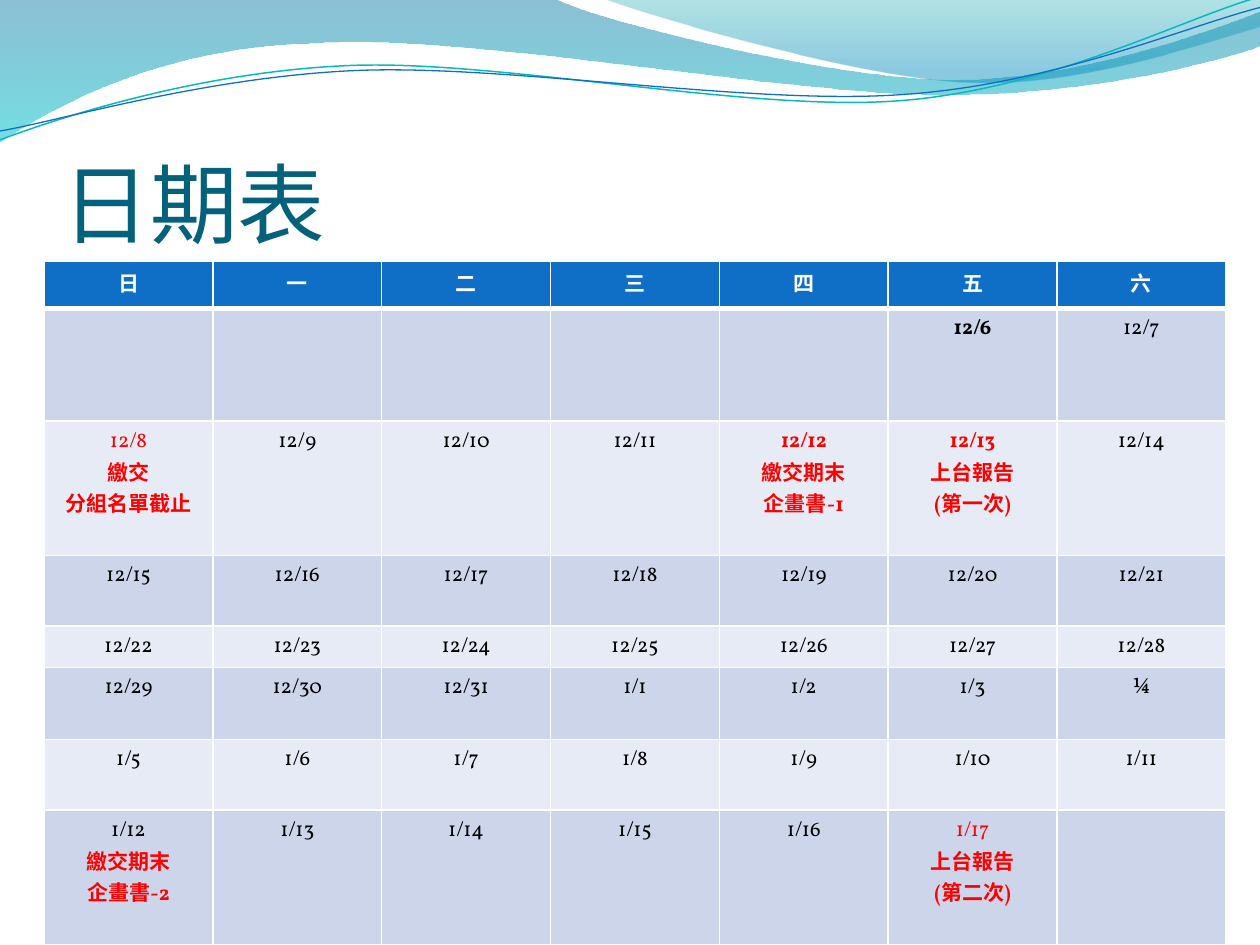
from math import cos, radians, sin

from lxml import etree
from pptx import Presentation
from pptx.dml.color import RGBColor
from pptx.enum.text import MSO_ANCHOR as Anchor, PP_ALIGN as Align
from pptx.oxml import parse_xml
from pptx.oxml.ns import qn
from pptx.util import Inches, Pt

COLORS = {
    "title": "04617B", "header": "0F6FC6", "band_dark": "CCD5EA", "band_light": "E7EBF5",
    "white": "FFFFFF", "black": "000000", "red": "FF0000",
    "teal_line": "0AB8BF", "blue_line": "0F6FC6",
    "deep_blue": "0074A1", "aqua": "00C6CF", "sea": "00A1A9", "sky": "008BBF",
}
NAMESPACE = 'xmlns:a="http://schemas.openxmlformats.org/drawingml/2006/main"'

# Wave outlines: a start point, then corners (2 values) and Bezier curves (6 values)
FILLED_WAVES = [
    {"start": (0, 0), "stops": [(0, "deep_blue", 45), (100, "aqua", 55)],
     "steps": [(4.4, -0.01), (4.76, 0.17, 6.64, 0.63, 7.58, 0.63),
               (8.53, 0.63, 9.58, 0.26, 10, 0.09), (10.01, 0.36),
               (9.83, 0.44, 8.7, 0.76, 7.46, 0.75), (6.22, 0.75, 3.82, 0.28, 2.57, 0.34),
               (1.29, 0.36, 0.46, 0.83, -0.01, 1.13), (0, 0)]},
    {"start": (4.79, -0.01), "stops": [(0, "sea", 30), (80, "sky", 45)],
     "steps": [(5.09, 0.11, 6.82, 0.62, 7.69, 0.65), (8.56, 0.69, 9.61, 0.32, 10, 0.21),
               (10, 0), (4.79, -0.01)]},
]
LINE_WAVES = [
    {"start": (0, 1.11), "color": "teal_line", "width": 0.85, "center": (4.99, 0.575),
     "steps": [(0.48, 0.93, 1.58, 0.57, 2.77, 0.52), (3.95, 0.47, 5.93, 0.89, 7.13, 0.8),
               (8.33, 0.71, 9.38, 0.15, 9.98, -0.02)]},
    {"start": (0, 1.04), "color": "blue_line", "width": 0.75, "center": (5, 0.59),
     "steps": [(0.47, 0.96, 1.64, 0.61, 2.83, 0.56), (4.03, 0.51, 5.97, 0.84, 7.17, 0.75),
               (8.36, 0.67, 9.41, 0.21, 10, 0.06)]},
]
LINE_TILT = 2.7  # degrees counter-clockwise

WEEKDAYS = "日一二三四五六"
COLUMN_WIDTH = 1.34
ROW_HEIGHTS = [0.38, 0.89, 1.07, 0.56, 0.33, 0.57, 0.56, 1.07]
FIRST_DAY, LAST_DAY = 6, 48  # counted from 12/1
DEADLINES = {
    "12/8": ["繳交", "分組名單截止"],
    "12/12": ["繳交期末", "企畫書-1"],
    "12/13": ["上台報告", "(第一次)"],
    "1/12": ["繳交期末", "企畫書-2"],
    "1/17": ["上台報告", "(第二次)"],
}
RED_DATES = {"12/8", "12/12", "12/13", "1/17"}
BOLD_DATES = {"12/6", "12/12", "12/13"}


def color(name):
    return RGBColor.from_string(COLORS[name])


def turn(point, center, degrees):
    """Turn a point clockwise around a center."""
    x, y = point[0] - center[0], point[1] - center[1]
    cosine, sine = cos(radians(degrees)), sin(radians(degrees))
    return center[0] + x * cosine - y * sine, center[1] + x * sine + y * cosine


def bend(shape, steps):
    """Join the three segments of each curve step into one Bezier segment."""
    segments = iter(list(shape.element.iter(qn("a:lnTo"))))
    for step in steps:
        first = next(segments)
        if len(step) == 2:
            continue
        curve = etree.Element(qn("a:cubicBezTo"))
        first.addprevious(curve)
        for segment in (first, next(segments), next(segments)):
            curve.append(segment[0])
            segment.getparent().remove(segment)


def add_outline(shapes, left, top, wave, close):
    points = [wave["start"]]
    for step in wave["steps"]:
        points += zip(step[::2], step[1::2])
    if "center" in wave:
        points = [turn(point, wave["center"], LINE_TILT) for point in points]
    points = [(Inches(left + x), Inches(top + y)) for x, y in points]
    builder = shapes.build_freeform(*points[0])
    builder.add_line_segments(points[1:], close=close)
    shape = builder.convert_to_shape()
    bend(shape, wave["steps"])
    shape.shadow.inherit = False
    shape.fill.background()
    return shape


def set_gradient(shape, stops):
    """Fill top to bottom with (position, colour, opacity) stops."""
    stop_xml = "".join(
        f'<a:gs pos="{position * 1000}"><a:srgbClr val="{COLORS[name]}">'
        f'<a:alpha val="{opacity * 1000}"/></a:srgbClr></a:gs>'
        for position, name, opacity in stops)
    gradient = parse_xml(f'<a:gradFill {NAMESPACE} rotWithShape="1"><a:gsLst>{stop_xml}'
                         '</a:gsLst><a:lin ang="5400000" scaled="0"/></a:gradFill>')
    properties = shape.element.spPr
    properties.replace(properties.find(qn("a:noFill")), gradient)


def add_waves(slide, left, top):
    for wave in FILLED_WAVES:
        shape = add_outline(slide.shapes, left, top, wave, close=True)
        set_gradient(shape, wave["stops"])
        shape.line.fill.background()
    group = slide.shapes.add_group_shape()
    for wave in LINE_WAVES:
        shape = add_outline(group.shapes, left, top, wave, close=False)
        shape.rotation = -LINE_TILT
        shape.line.color.rgb = color(wave["color"])
        shape.line.width = Pt(wave["width"])


def write(paragraph, text, color_name, **font_values):
    run = paragraph.add_run()
    run.text = text
    run.font.color.rgb = color(color_name)
    for name, value in font_values.items():
        setattr(run.font, name, value)


def add_title(slide, left, top, width, height):
    box = slide.shapes.add_textbox(Inches(left), Inches(top), Inches(width), Inches(height))
    frame_values = {"word_wrap": True, "vertical_anchor": Anchor.BOTTOM, "margin_left": 0,
                    "margin_right": 0, "margin_top": Inches(0.05), "margin_bottom": 0}
    for name, value in frame_values.items():
        setattr(box.text_frame, name, value)
    write(box.text_frame.paragraphs[0], "日期表", "title", size=Pt(50), name="Calibri")


def date_label(day):
    if not FIRST_DAY <= day <= LAST_DAY:
        return ""
    label = f"12/{day}" if day <= 31 else f"1/{day - 31}"
    return "¼" if label == "1/4" else label


def cell_lines(row, column):
    """List the (text, colour, bold) lines of one calendar cell."""
    if row == 0:
        return [(WEEKDAYS[column], "white", True)]
    label = date_label(7 * (row - 1) + column + 1)
    if not label:
        return []
    date_color = "red" if label in RED_DATES else "black"
    notes = [(note, "red", True) for note in DEADLINES.get(label, [])]
    return [(label, date_color, label in BOLD_DATES)] + notes


def set_borders(cell, row):
    widths = {"lnL": 1, "lnR": 1, "lnT": 3 if row == 1 else 1, "lnB": 3 if row == 0 else 1}
    properties = cell._tc.get_or_add_tcPr()
    for tag, width in widths.items():
        border = etree.SubElement(properties, qn(f"a:{tag}"), w=str(Pt(width)))
        fill = etree.SubElement(border, qn("a:solidFill"))
        etree.SubElement(fill, qn("a:srgbClr"), val=COLORS["white"])


def add_calendar(slide, left, top):
    table = slide.shapes.add_table(
        len(ROW_HEIGHTS), len(WEEKDAYS), Inches(left), Inches(top),
        Inches(COLUMN_WIDTH * len(WEEKDAYS)), Inches(sum(ROW_HEIGHTS))).table
    for column in table.columns:
        column.width = Inches(COLUMN_WIDTH)
    for row, height in enumerate(ROW_HEIGHTS):
        table.rows[row].height = Inches(height)
        band = "header" if row == 0 else "band_dark" if row % 2 else "band_light"
        for column in range(len(WEEKDAYS)):
            cell = table.cell(row, column)
            set_borders(cell, row)
            cell.fill.solid()
            cell.fill.fore_color.rgb = color(band)
            for index, (text, color_name, bold) in enumerate(cell_lines(row, column)):
                text_frame = cell.text_frame
                paragraph = text_frame.add_paragraph() if index else text_frame.paragraphs[0]
                paragraph.alignment = Align.CENTER
                write(paragraph, text, color_name, bold=bold, size=Pt(12), name="Vollkorn")


presentation = Presentation()
presentation.slide_width, presentation.slide_height = Inches(10), Inches(7.5)
slide = presentation.slides.add_slide(presentation.slide_layouts[6])
add_waves(slide, 0, 0)
add_title(slide, 0.5, 0.77, 9, 1.25)
add_calendar(slide, 0.35, 2.07)
presentation.save("out.pptx")
